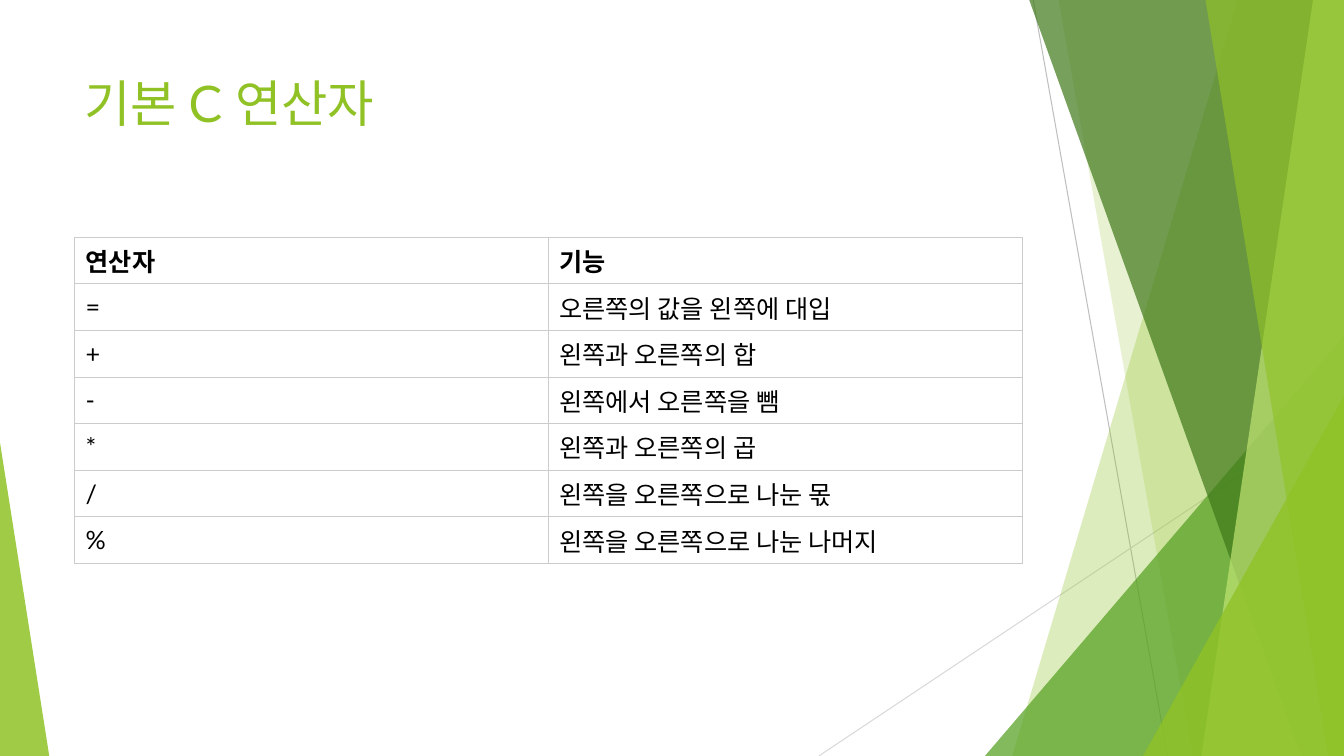
from lxml.etree import SubElement
from pptx import Presentation
from pptx.dml.color import RGBColor
from pptx.enum.shapes import MSO_CONNECTOR, MSO_SHAPE
from pptx.enum.text import MSO_ANCHOR, MSO_AUTO_SIZE, PP_ALIGN
from pptx.oxml.ns import qn
from pptx.util import Pt

COLORS = {
    "lime": "90C226",
    "pale": "C0E474",
    "green": "54A021",
    "forest": "3F7819",
    "gray": "BFBFBF",
    "silver": "D9D9D9",
    "border": "CCCCCC",
    "black": "000000",
    "white": "FFFFFF",
}
FONT = "Lato"
WIDTH, HEIGHT, TOP = 960, 540, -0.6
LEFT, CONTENT_WIDTH, ROW_HEIGHT = 53.2, 676.8, 33.3

RAYS = [
    ((738, 0), (834, HEIGHT), "gray"),
    ((WIDTH, 290), (584.8, HEIGHT), "silver"),
]
BACK_BANDS = [(884.2, 723, "lime", 30), (756, 852, "lime", 20)]
FRONT_BANDS = [
    (735, 929.5, "forest", 70),
    (938, 858.2, "pale", 70),
    (861, 949, "lime", 65),
]
OPERATORS = [
    ("연산자", "기능"),
    ("=", "오른쪽의 값을 왼쪽에 대입"),
    ("+", "왼쪽과 오른쪽의 합"),
    ("-", "왼쪽에서 오른쪽을 뺌"),
    ("*", "왼쪽과 오른쪽의 곱"),
    ("/", "왼쪽을 오른쪽으로 나눈 몫"),
    ("%", "왼쪽을 오른쪽으로 나눈 나머지"),
]


def rgb(name):
    return RGBColor.from_string(COLORS[name])


def set_attrs(target, values):
    for name, value in values.items():
        setattr(target, name, value)


def write(tf, text, size, color, bold=False):
    p = tf.paragraphs[0]
    p.alignment = PP_ALIGN.LEFT
    r = p.add_run()
    r.text = text
    set_attrs(r.font, {"name": FONT, "size": Pt(size), "bold": bold})
    r.font.color.rgb = rgb(color)


def paint(sp, color, opacity):
    sp.shadow.inherit = False
    sp.fill.solid()
    sp.fill.fore_color.rgb = rgb(color)
    sp.line.fill.background()
    srgb = sp.element.spPr.find(qn("a:solidFill")).find(qn("a:srgbClr"))
    SubElement(srgb, qn("a:alpha"), val=str(opacity * 1000))


def add_ray(s, start, end, color):
    ends = [Pt(v) for v in (*start, *end)]
    line = s.shapes.add_connector(MSO_CONNECTOR.STRAIGHT, *ends)
    line.line.color.rgb = rgb(color)
    line.line.width = Pt(0.75)
    SubElement(line.element.spPr, qn("a:effectLst"))


def add_band(s, top_x, bottom_x, color, opacity):
    corners = [(WIDTH, TOP), (WIDTH, HEIGHT), (bottom_x, HEIGHT)]
    builder = s.shapes.build_freeform(Pt(top_x), Pt(TOP), scale=1.0)
    builder.add_line_segments([(Pt(x), Pt(y)) for x, y in corners], close=True)
    paint(builder.convert_to_shape(), color, opacity)


def add_wedge(s, left, top, width, apex, color, opacity):
    box = [Pt(v) for v in (left, top, width, HEIGHT - top)]
    sp = s.shapes.add_shape(MSO_SHAPE.ISOSCELES_TRIANGLE, *box)
    sp.adjustments[0] = apex
    paint(sp, color, opacity)


def add_decoration(s):
    for ray in RAYS:
        add_ray(s, *ray)
    for band in BACK_BANDS:
        add_band(s, *band)
    add_wedge(s, 703.5, 240, 256.5, 1, "green", 72)
    for band in FRONT_BANDS:
        add_band(s, *band)
    add_wedge(s, 816.5, 283, 143.5, 1, "lime", 80)
    add_wedge(s, 0, 316, 35.2, 0, "lime", 85)


def add_title(s, text):
    title = s.shapes.title
    title.element.getparent().append(title.element)
    set_attrs(title, {"left": Pt(LEFT), "top": Pt(48),
                      "width": Pt(CONTENT_WIDTH), "height": Pt(104)})
    tf = title.text_frame
    set_attrs(tf, {"word_wrap": True, "auto_size": MSO_AUTO_SIZE.NONE,
                   "vertical_anchor": MSO_ANCHOR.TOP})
    write(tf, text, 36, "lime")


def add_borders(cell):
    tcPr = cell._tc.get_or_add_tcPr()
    for side in ("lnL", "lnR", "lnT", "lnB"):
        ln = SubElement(tcPr, qn(f"a:{side}"), w=str(Pt(0.6)))
        fill = SubElement(ln, qn("a:solidFill"))
        SubElement(fill, qn("a:srgbClr"), val=COLORS["border"])


def format_cell(cell, text, bold):
    set_attrs(cell, {"margin_left": Pt(8), "margin_right": Pt(8),
                     "margin_top": Pt(3.6), "margin_bottom": Pt(3.6),
                     "vertical_anchor": MSO_ANCHOR.MIDDLE})
    add_borders(cell)
    cell.fill.solid()
    cell.fill.fore_color.rgb = rgb("white")
    write(cell.text_frame, text, 18, "black", bold)


def add_operator_table(s, rows):
    box = [Pt(v) for v in (LEFT, 169.4, CONTENT_WIDTH, ROW_HEIGHT * len(rows))]
    table = s.shapes.add_table(len(rows), len(rows[0]), *box).table
    set_attrs(table, {"first_row": False, "horz_banding": False})
    for i, row in enumerate(rows):
        table.rows[i].height = Pt(ROW_HEIGHT)
        for j, text in enumerate(row):
            format_cell(table.cell(i, j), text, bold=i == 0)


def main():
    prs = Presentation()
    set_attrs(prs, {"slide_width": Pt(WIDTH), "slide_height": Pt(HEIGHT)})
    s = prs.slides.add_slide(prs.slide_layouts[5])
    add_decoration(s)
    add_title(s, "기본 C 연산자")
    add_operator_table(s, OPERATORS)
    prs.save("out.pptx")


if __name__ == "__main__":
    main()
